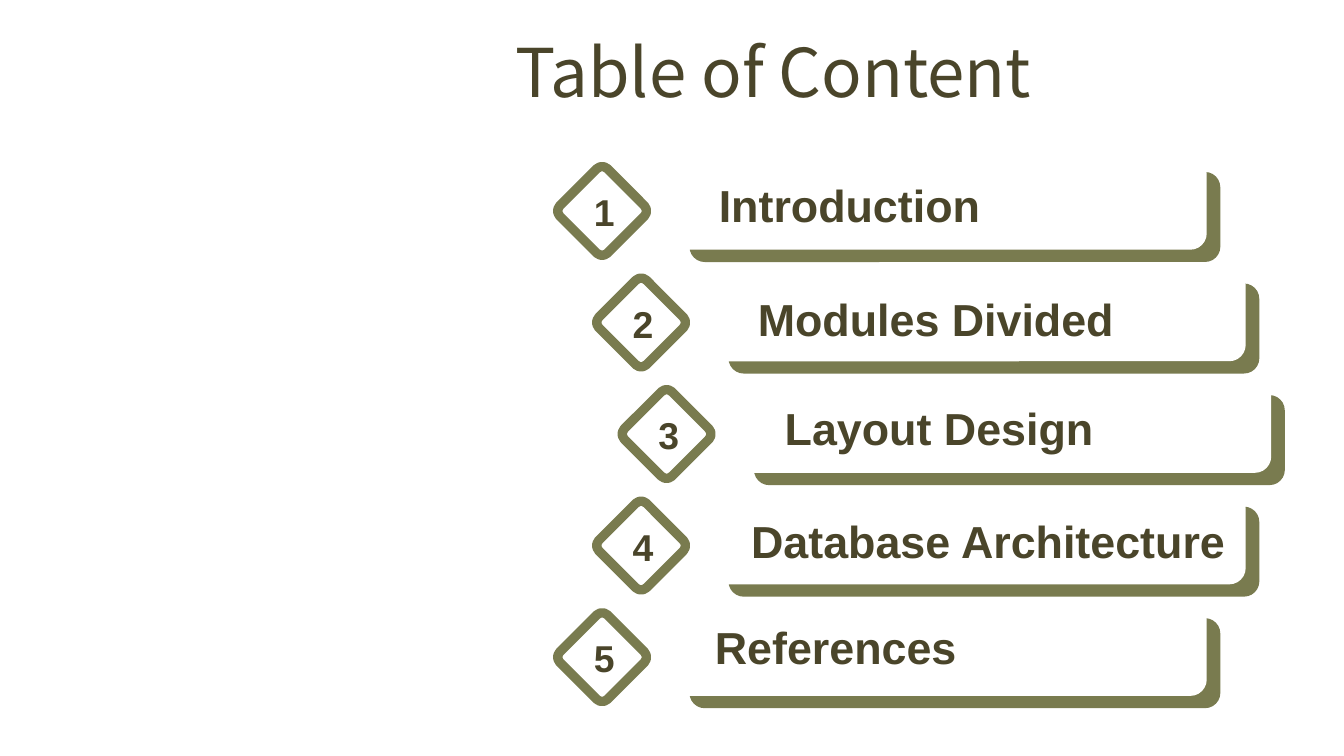
"""Build a table of contents slide with five staggered, numbered bars."""
from dataclasses import dataclass

from pptx import Presentation
from pptx.dml.color import RGBColor
from pptx.enum import shapes, text
from pptx.util import Inches, Pt


@dataclass(frozen=True)
class Theme:
    ink: RGBColor = RGBColor.from_string("4A452A")
    olive: RGBColor = RGBColor.from_string("797B4F")
    white: RGBColor = RGBColor.from_string("FFFFFF")
    title: Pt = Pt(36)
    label: Pt = Pt(24)
    number: Pt = Pt(20)


theme = Theme()


def add_text(s, box, words, fmt, align=text.PP_ALIGN.LEFT, anchor=text.MSO_ANCHOR.TOP):
    tf = s.shapes.add_textbox(*map(Inches, box)).text_frame
    tf.word_wrap = True
    tf.vertical_anchor = anchor
    p = tf.paragraphs[0]
    p.alignment = align
    r = p.add_run()
    r.text = words
    r.font.color.rgb = theme.ink
    for key, value in fmt.items():
        setattr(r.font, key, value)


def add_tile(s, box, corner, fill, line=None, width=0, rotation=0):
    sp = s.shapes.add_shape(shapes.MSO_SHAPE.ROUNDED_RECTANGLE, *map(Inches, box))
    sp.shadow.inherit = False
    sp.adjustments[0] = corner
    sp.rotation = rotation
    sp.fill.solid()
    sp.fill.fore_color.rgb = fill
    if line is None:
        sp.line.fill.background()
    else:
        sp.line.color.rgb = line
        sp.line.width = Pt(width)


prs = Presentation()
prs.slide_width, prs.slide_height = Inches(10), Inches(10 * 9 / 16)
s = prs.slides.add_slide(prs.slide_layouts[6])

title_fmt = {"name": "Noto Sans CJK SC", "size": theme.title}
label_fmt = {"name": "Arial", "size": theme.label, "bold": True}
number_fmt = {"name": "Arial", "size": theme.number, "bold": True}

add_text(s, (3.74, 0.21, 6.26, 0.63), "Table of Content", title_fmt,
         anchor=text.MSO_ANCHOR.MIDDLE)

items = [
    ("Introduction", 4.23, 5.25, 1.27, 3.31, 0.53),
    ("Modules Divided", 4.52, 5.54, 2.12, 3.31, 0.56),
    ("Layout Design", 4.71, 5.74, 2.93, 3.31, 0.56),
    ("Database Architecture", 4.52, 5.49, 3.77, 3.94, 0.56),
    ("References", 4.23, 5.22, 4.56, 3.31, 0.56),
]
row_top, row_step = 1.18, 0.83

for i, (label, x, *label_box) in enumerate(items):
    y = row_top + i * row_step
    add_tile(s, (x + 0.9, y + 0.1, 3.95, 0.67), 0.17, theme.olive)
    add_tile(s, (x + 0.79, y, 3.95, 0.67), 0.17, theme.white, theme.white, 1.25)
    add_text(s, label_box, label, label_fmt)
    add_tile(s, (x, y + 0.14, 0.5, 0.5), 0.11, theme.white, theme.olive, 5, 45)
    add_text(s, (x + 0.09, y + 0.18, 0.33, 0.44), str(i + 1), number_fmt,
             text.PP_ALIGN.CENTER)

prs.save("out.pptx")
